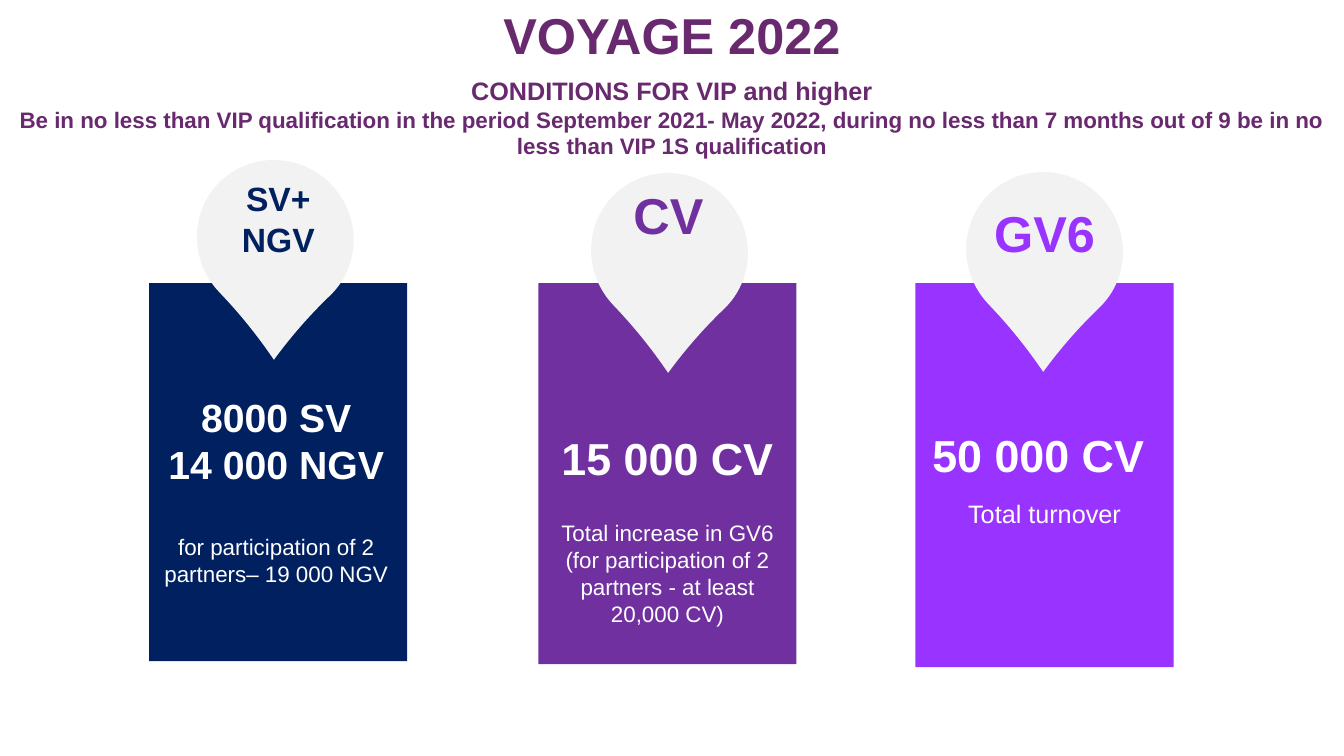
from dataclasses import dataclass

from pptx import Presentation, util as u
from pptx.dml.color import RGBColor
from pptx.enum import shapes, text


@dataclass(frozen=True)
class Theme:
    font: str = "Arial"
    heading: str = "68296F"
    pin: str = "F2F2F2"
    light: str = "FFFFFF"
    navy: str = "002060"
    purple: str = "7030A0"
    violet: str = "9933FF"
    title: int = 36
    large: int = 32
    medium: int = 28
    label: int = 24
    subtitle: int = 18
    body: int = 16


THEME = Theme()
WIDTH, HEIGHT = 13.33, 7.5
CARD_TOP, CARD_WIDTH = 2.81, 2.56
PIN_SIZE = (1.54, 1.57)
LABEL_WIDTH = 1.28


def inches(box):
    return [u.Inches(length) for length in box]


def add_block(slide, box, lines, color, frame_format=None):
    """Centred text; each line is (wording, size, bold, paragraph format)."""
    frame = slide.shapes.add_textbox(*inches(box)).text_frame
    frame.word_wrap = True
    for name, value in (frame_format or {}).items():
        setattr(frame, name, value)
    for index, (wording, size, bold, spacing) in enumerate(lines):
        paragraph = frame.add_paragraph() if index else frame.paragraphs[0]
        paragraph.alignment = text.PP_ALIGN.CENTER
        for name, value in spacing.items():
            setattr(paragraph, name, value)
        run = paragraph.add_run()
        run.text = wording
        font_format = {"name": THEME.font, "size": u.Pt(size), "bold": bold}
        for name, value in font_format.items():
            setattr(run.font, name, value)
        run.font.color.rgb = RGBColor.from_string(color)


def add_figure(slide, kind, box, color):
    figure = slide.shapes.add_shape(kind, *inches(box))
    figure.shadow.inherit = False
    figure.fill.solid()
    figure.fill.fore_color.rgb = RGBColor.from_string(color)
    figure.line.fill.background()
    return figure


def add_header(slide, box):
    left, top, width, height = box
    # Title
    margins = ("margin_left", "margin_top", "margin_right", "margin_bottom")
    add_block(slide, (left, top, width, 0.37),
              [("VOYAGE 2022", THEME.title, True, {"line_spacing": 0.9})],
              THEME.heading,
              {"vertical_anchor": text.MSO_ANCHOR.MIDDLE, **dict.fromkeys(margins, 0)})
    # Conditions
    add_block(slide, (left, top + 0.51, width, height - 0.51), [
        ("CONDITIONS FOR VIP and higher", THEME.subtitle, True, {}),
        ("Be in no less than VIP qualification in the period September 2021- May 2022, "
         "during no less than 7 months out of 9 be in no less than VIP 1S qualification",
         THEME.body, True, {}),
    ], THEME.heading)


def add_card(slide, box, color, pin, label, details):
    left, top, width, height = box
    # Panel
    add_figure(slide, shapes.MSO_SHAPE.RECTANGLE, box, color)
    # Map pin
    pin_left, pin_rise = pin
    marker = add_figure(slide, shapes.MSO_SHAPE.TEAR,
                        (left + pin_left, top - pin_rise, *PIN_SIZE), THEME.pin)
    marker.rotation = 136.2
    marker.adjustments[0] = 1.095
    # Pin label
    wording, size, label_left, label_rise = label
    add_block(slide, (left + label_left, top - label_rise, LABEL_WIDTH, 0.71),
              [(wording, size, True, {})], color)
    # Figures and explanation
    shift, drop, lines = details
    add_block(slide, (left + shift, top + drop, width, height - drop), lines, THEME.light)


CARDS = [
    dict(left=1.48, height=3.75, color=THEME.navy, pin=(0.48, 1.23),
         label=("SV+ NGV", THEME.label, 0.64, 1.09),
         details=(-0.02, 1.04, [
             ("8000 SV", THEME.medium, True, {}),
             ("14 000 NGV", THEME.medium, True, {}),
             ("for participation of 2 partners– 19 000 NGV", THEME.body, False,
              {"space_before": u.Pt(33)}),
         ])),
    dict(left=5.34, height=3.78, color=THEME.purple, pin=(0.53, 1.1),
         label=("CV", THEME.title, 0.65, 1.03),
         details=(0, 1.41, [
             ("15 000 СV", THEME.large, True, {}),
             ("Total increase in GV6 (for participation of 2 partners - at least 20,000 CV)",
              THEME.body, False, {"space_before": u.Pt(25)}),
         ])),
    dict(left=9.08, height=3.81, color=THEME.violet, pin=(0.51, 1.11),
         label=("GV6", THEME.title, 0.64, 0.85),
         details=(0, 1.38, [
             ("50 000 CV ", THEME.large, True, {"space_after": u.Pt(6)}),
             ("Total turnover", THEME.subtitle, False, {"space_before": u.Pt(6)}),
         ])),
]


def main():
    deck = Presentation()
    deck.slide_width, deck.slide_height = inches((WIDTH, HEIGHT))
    slide = deck.slides.add_slide(deck.slide_layouts[6])
    add_header(slide, (0, 0.19, WIDTH, 1.45))
    for card in CARDS:
        add_card(slide, (card["left"], CARD_TOP, CARD_WIDTH, card["height"]),
                 card["color"], card["pin"], card["label"], card["details"])
    deck.save("out.pptx")


if __name__ == "__main__":
    main()
